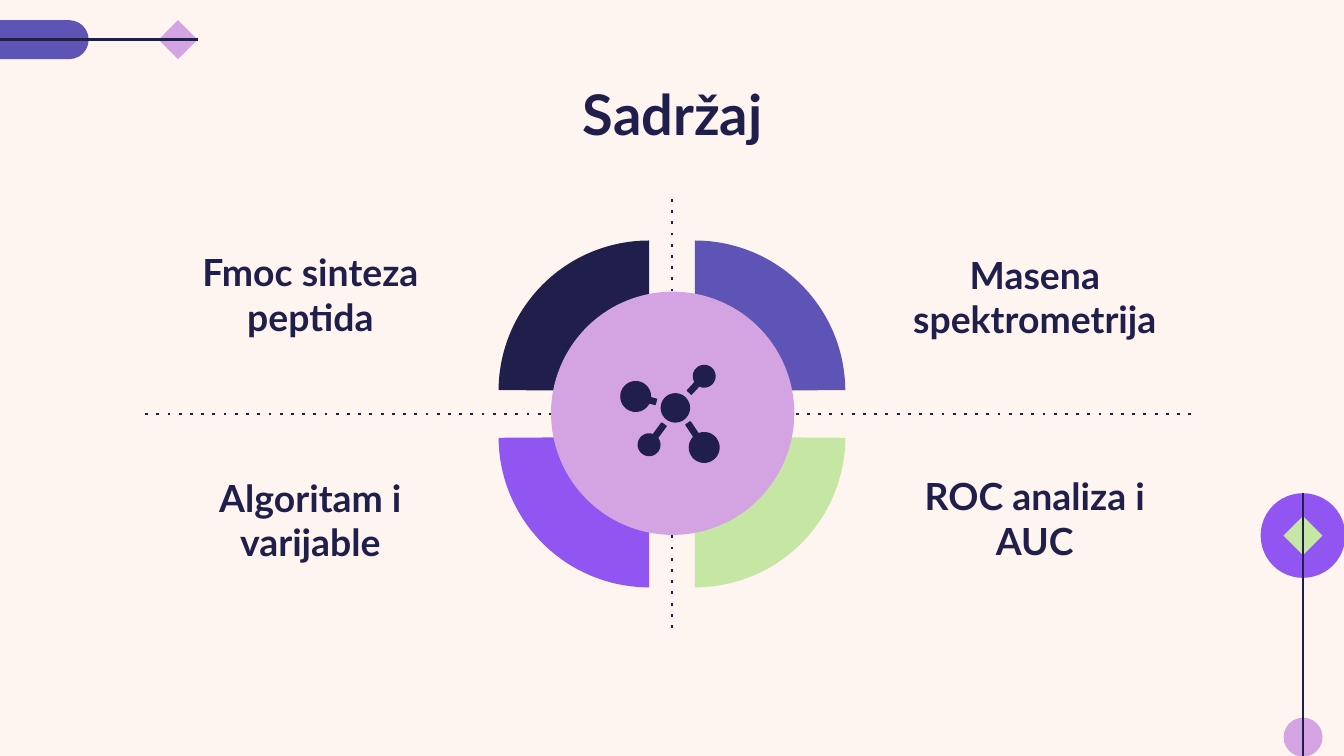
from math import asin, atan2, cos, hypot, pi, sin

from lxml.etree import SubElement
from pptx import Presentation
from pptx.dml.color import RGBColor
from pptx.enum.shapes import MSO_CONNECTOR, MSO_SHAPE
from pptx.enum.text import MSO_ANCHOR, MSO_AUTO_SIZE, PP_ALIGN
from pptx.oxml.ns import qn
from pptx.util import Inches, Pt

COLORS = {
    "background": "FEF5F0",
    "navy": "201F4B",
    "indigo": "5E54B5",
    "violet": "9156F1",
    "green": "C6E6A3",
    "pink": "D4A4E2",
}
FONT = "Lato"


def color(name):
    return RGBColor.from_string(COLORS[name])


def paint(shape, fill):
    shape.shadow.inherit = False
    shape.fill.solid()
    shape.fill.fore_color.rgb = color(fill)
    shape.line.fill.background()


def add_filled(slide, kind, left, top, width, height, fill, rotation=0):
    shape = slide.shapes.add_shape(
        kind, Inches(left), Inches(top), Inches(width), Inches(height)
    )
    paint(shape, fill)
    shape.rotation = rotation
    return shape


def add_line(slide, start, end, dotted=False):
    connector = slide.shapes.add_connector(
        MSO_CONNECTOR.STRAIGHT, *(Inches(value) for value in (*start, *end))
    )
    connector.line.color.rgb = color("navy")
    connector.line.width = Pt(1.5)
    properties = connector._element.spPr
    if dotted:
        SubElement(properties.find(qn("a:ln")), qn("a:prstDash"), val="dot")
    SubElement(properties, qn("a:effectLst"))


def write_text(shape, text, size, anchor):
    frame = shape.text_frame
    frame.text = text
    frame.word_wrap = True
    frame.auto_size = MSO_AUTO_SIZE.NONE
    frame.vertical_anchor = anchor
    frame.margin_left = frame.margin_right = Inches(0.1)
    frame.margin_top = frame.margin_bottom = Inches(0.1)
    paragraph = frame.paragraphs[0]
    paragraph.alignment = PP_ALIGN.CENTER
    font = paragraph.runs[0].font
    font.name, font.size, font.bold = FONT, Pt(size), True
    font.color.rgb = color("navy")


def add_title(slide, left, top, width, height):
    title = slide.shapes.title
    title.left, title.top = Inches(left), Inches(top)
    title.width, title.height = Inches(width), Inches(height)
    write_text(title, "Sadržaj", 30, MSO_ANCHOR.TOP)


def add_side_ornament(slide, left, top, width, height):
    small = 0.29
    center = left + width / 2
    inset = (width - small) / 2
    add_filled(slide, MSO_SHAPE.OVAL, left, top, width, width, "violet")
    add_filled(slide, MSO_SHAPE.DIAMOND, left + inset, top + inset,
               small, small, "green", 90)
    add_filled(slide, MSO_SHAPE.OVAL, left + inset, top + height - small,
               small, small, "pink", 90)
    add_line(slide, (center, top), (center, top + height))


def add_top_ornament(slide, left, top, width, height):
    right, middle = left + width, top + height / 2
    bar = add_filled(slide, MSO_SHAPE.ROUNDED_RECTANGLE,
                     left, top, 1.35, height, "indigo")
    bar.adjustments[0] = 0.5
    add_filled(slide, MSO_SHAPE.DIAMOND, right - height, top,
               height, height, "pink", 270)
    add_line(slide, (left + 0.21, middle), (right, middle))


def add_wheel(slide, left, top, width, height):
    center_x, center_y = left + width / 2, top + height / 2
    diameter, hub = 2.24, 1.81
    quadrants = [
        ("navy", -1, -1), ("indigo", 1, -1), ("violet", -1, 1), ("green", 1, 1),
    ]
    for fill, side, level in quadrants:
        pie = add_filled(
            slide, MSO_SHAPE.PIE,
            center_x + side * 0.17 - diameter / 2,
            center_y + level * 0.17 - diameter / 2,
            diameter, diameter, fill, 180 if level > 0 else 0,
        )
        pie.adjustments[0], pie.adjustments[1] = 108.22, 162
        if side != level:
            pie._element.spPr.find(qn("a:xfrm")).set("flipH", "1")
    add_line(slide, (left, center_y), (left + width, center_y), dotted=True)
    add_line(slide, (center_x, top), (center_x, top + height), dotted=True)


def add_hub(slide, left, top, width, height):
    add_filled(slide, MSO_SHAPE.OVAL, left, top, width, height, "pink")
    add_molecule(slide, left + 0.51, top + 0.54)


def outline_atom(shape):
    paint(shape, "navy")
    shape.line.color.rgb = color("navy")
    shape.line.width = Pt(0.75)


def add_bonded_atom(slide, x, y, radius, end_x, end_y):
    half_width, steps = 0.02, 36
    direction = atan2(end_y - y, end_x - x)
    reach = hypot(end_x - x, end_y - y)
    gap = asin(half_width / radius)
    angles = [gap + step * (2 * pi - 2 * gap) / steps for step in range(steps + 1)]
    outline = [(radius * cos(angle), radius * sin(angle)) for angle in angles]
    outline += [(reach, -half_width), (reach, half_width)]
    points = [
        (Inches(x + along * cos(direction) - across * sin(direction)),
         Inches(y + along * sin(direction) + across * cos(direction)))
        for along, across in outline
    ]
    builder = slide.shapes.build_freeform(*points[0])
    builder.add_line_segments(points[1:], close=True)
    outline_atom(builder.convert_to_shape())


def add_molecule(slide, left, top):
    core = add_filled(slide, MSO_SHAPE.OVAL, left + 0.31, top + 0.22,
                      0.21, 0.21, "navy")
    outline_atom(core)
    bonded_atoms = [
        (0.22, 0.6, 0.08, 0.33, 0.45),
        (0.63, 0.09, 0.08, 0.52, 0.21),
        (0.12, 0.24, 0.11, 0.27, 0.28),
        (0.63, 0.62, 0.11, 0.51, 0.44),
    ]
    for x, y, radius, end_x, end_y in bonded_atoms:
        add_bonded_atom(slide, left + x, top + y, radius, left + end_x, top + end_y)


def add_topics(slide, left, top, width, height):
    box_width = 2.16
    right = left + width - box_width
    topics = [
        ("Fmoc sinteza peptida", left, 0, 0.83),
        ("Algoritam i varijable", left, 1.65, 0.86),
        ("Masena spektrometrija", right, 0, 0.85),
        ("ROC analiza i AUC", right, height - 0.78, 0.78),
    ]
    for text, x, offset, box_height in topics:
        box = slide.shapes.add_textbox(
            Inches(x), Inches(top + offset), Inches(box_width), Inches(box_height)
        )
        write_text(box, text, 20, MSO_ANCHOR.BOTTOM)


def main():
    presentation = Presentation()
    presentation.slide_width = Inches(10)
    presentation.slide_height = Inches(10 * 9 / 16)
    slide = presentation.slides.add_slide(presentation.slide_layouts[5])
    slide.background.fill.solid()
    slide.background.fill.fore_color.rgb = color("background")
    add_side_ornament(slide, 9.38, 3.67, 0.63, 1.96)
    add_top_ornament(slide, -0.69, 0.15, 2.16, 0.29)
    add_wheel(slide, 1.08, 1.48, 7.84, 3.2)
    add_title(slide, 0.79, 0.49, 8.43, 0.63)
    add_topics(slide, 1.23, 1.79, 7.55, 2.5)
    add_hub(slide, 4.1, 2.17, 1.81, 1.81)
    presentation.save("out.pptx")


if __name__ == "__main__":
    main()
